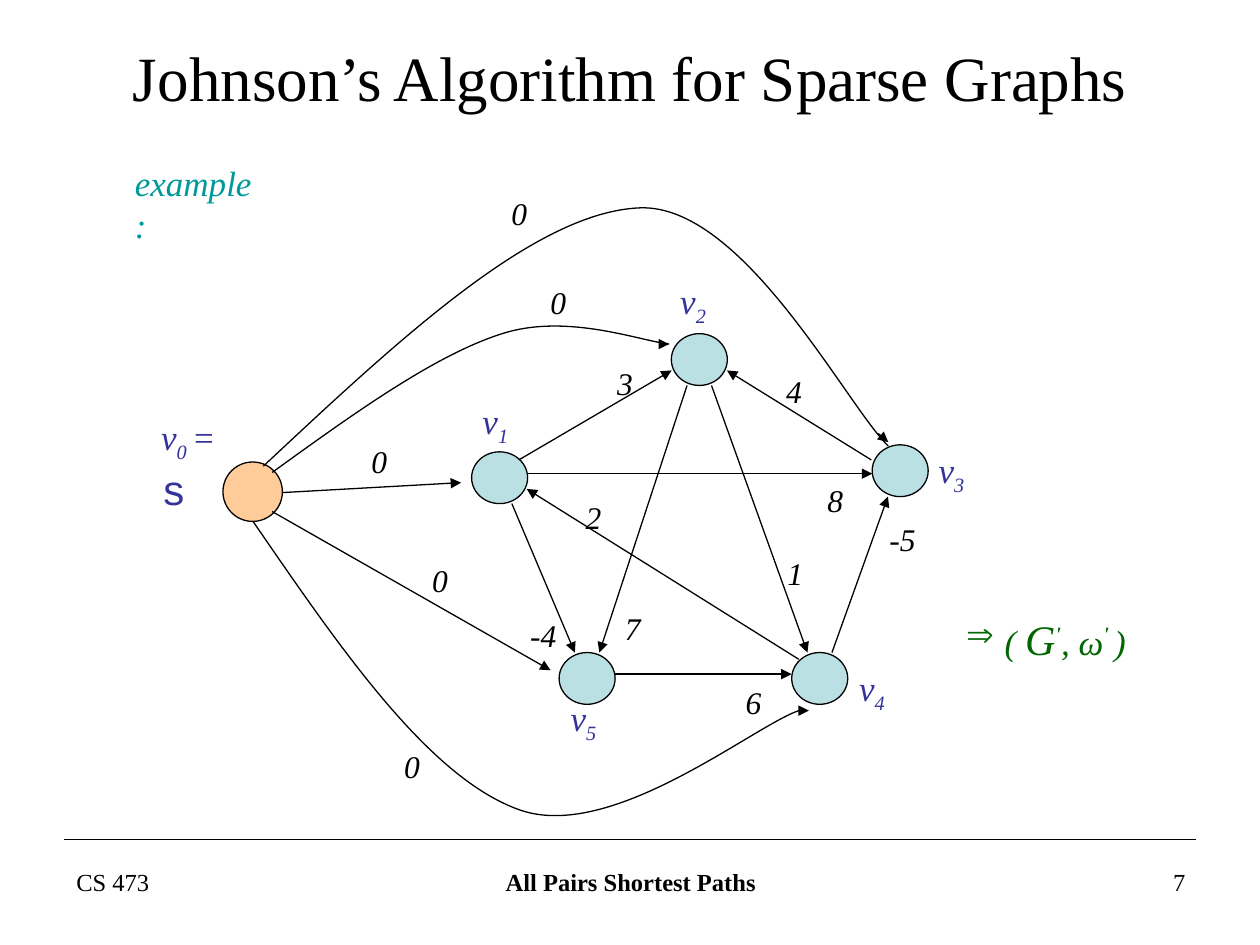
from lxml import etree
from pptx import Presentation
from pptx.dml.color import RGBColor
from pptx.enum import shapes, text
from pptx.oxml import ns
from pptx.util import Pt

SERIF = "Times New Roman"
BLACK, NAVY, TEAL, GREEN = "000000", "333399", "009999", "006600"
AQUA, PEACH = "BBE0E3", "FFCC99"
NODE_SIZE, SOURCE_SIZE = (32, 29.6), (34, 34)

NODES = {
    "1": (205.5, 173), "2": (319.6, 105.5), "3": (434.4, 169),
    "4": (388.4, 287.7), "5": (255.5, 287.7),
}
NODE_LABELS = {
    "1": (188.6, 124.6), "2": (301.6, 56.2), "3": (449.2, 152.7),
    "4": (403.8, 277.3), "5": (239, 294.6),
}
# Each edge: tail node, offset from its centre, head node, offset from its centre
EDGES = [
    ("1", (11, -10.2), "2", (-15.8, 6.2)),
    ("3", (-16.5, -6.2), "2", (15.8, 6.2)),
    ("4", (7, -14.8), "3", (-7, 14.8)),
    ("5", (16, -2.5), "4", (-16, -2.5)),
    ("1", (7, 14.8), "5", (-7, -14.8)),
    ("2", (-7, 14.8), "5", (7, -14.8)),
    ("2", (7, 14.8), "4", (-7, -14.8)),
    ("4", (-12, -11), "1", (15.5, 6.4)),
    ("1", (15.5, -2.3), "3", (-16, 1.7)),
]
WEIGHTS = [
    ("2", 247.6, 180.8), ("1", 362.8, 213.2), ("4", 362.1, 108.8),
    ("3", 265.6, 104.5), ("8", 385.8, 171.4), ("-5", 421.1, 193.8),
    ("-4", 215.9, 248.5), ("6", 339, 286.6), ("7", 270, 244.2),
    ("0", 205.1, 7.3), ("0", 227.4, 58.4), ("0", 143.9, 323.4),
    ("0", 125.2, 149.1), ("0", 159.8, 216.8),
]
SOURCE = (64.4, 181)
SOURCE_EDGES = [
    ((81.3, 181.5), (183.5, 175.8)),
    ((75.5, 192.3), (234.6, 283)),
]
SOURCE_CURVES = [
    [(70.5, 166.4), (148.2, 93.7), (226, 21), (285.8, 18.8),
     (344.8, 16.6), (403.8, 131.8), (427.6, 154.9)],
    [(75.5, 170), (122.3, 136.2), (168.4, 103), (206.6, 90.8),
     (244, 78.6), (286.5, 95.1), (302.3, 96.6)],
    [(64.7, 198.1), (115.1, 271.5), (165.5, 345), (217.4, 363),
     (269.9, 381), (349.8, 315.4), (376.5, 306.1)],
]
CURVE_TIPS = [
    ((421.8, 147.7), (427.6, 152.7)),
    ((297.3, 96.6), (302.3, 96.6)),
    ((376.5, 306.1), (382.2, 306.1)),
]


def color(value):
    """Turn a hex string into a colour."""
    return RGBColor.from_string(value)


def add_text(page, box, spans, size, fill=BLACK, italic=False, wrap=False, align="LEFT"):
    """Add a one-paragraph text box; a span is a text and its optional overrides."""
    shape = page.shapes.add_textbox(*map(Pt, box))
    frame = shape.text_frame
    frame.word_wrap = wrap
    if not wrap:
        frame.auto_size = text.MSO_AUTO_SIZE.SHAPE_TO_FIT_TEXT
    para = frame.paragraphs[0]
    para.alignment = getattr(text.PP_ALIGN, align)
    for words, style in spans:
        span = para.add_run()
        span.text = words
        span.font.name = style.get("font", SERIF)
        span.font.size = Pt(style.get("size", size))
        span.font.italic = style.get("italic", italic)
        span.font.bold = style.get("bold", False)
        span.font.color.rgb = color(fill)
        if "base" in style:
            span.font._element.set("baseline", str(style["base"] * 1000))
    return shape


def add_line(page, start, end, arrow=True):
    """Add a thin straight line, with an arrowhead at its end if wanted."""
    line = page.shapes.add_connector(
        shapes.MSO_CONNECTOR.STRAIGHT, *map(Pt, (*start, *end)))
    line.line.color.rgb = color(BLACK)
    line.line.width = Pt(0.75)
    if arrow:
        etree.SubElement(line.line._get_or_add_ln(), ns.qn("a:tailEnd"), type="triangle")
    etree.SubElement(line._element.spPr, ns.qn("a:effectLst"))


def add_curve(page, points):
    """Add an open curve through cubic control points."""
    start, *rest = [(Pt(x), Pt(y)) for x, y in points]
    builder = page.shapes.build_freeform(*start)
    builder.add_line_segments(rest, close=False)
    shape = builder.convert_to_shape()
    segments = list(shape._element.iter(ns.qn("a:lnTo")))
    for first in range(0, len(segments), 3):
        cubic = etree.Element(ns.qn("a:cubicBezTo"))
        segments[first].addprevious(cubic)
        for segment in segments[first:first + 3]:
            cubic.append(segment[0])
            segment.getparent().remove(segment)
    shape.shadow.inherit = False
    shape.fill.background()
    shape.line.color.rgb = color(BLACK)
    shape.line.width = Pt(0.75)


def add_node(page, center, size, fill):
    """Add an outlined ellipse around a centre."""
    (x, y), (width, height) = center, size
    node = page.shapes.add_shape(
        shapes.MSO_SHAPE.OVAL, Pt(x - width / 2), Pt(y - height / 2), Pt(width), Pt(height))
    node.shadow.inherit = False
    node.fill.solid()
    node.fill.fore_color.rgb = color(fill)
    node.line.color.rgb = color(BLACK)
    node.line.width = Pt(0.75)


def add_heading(page, left, top, width):
    """Add the title and the example caption."""
    title = add_text(page, (left, top, width, 44),
                     [("Johnson’s Algorithm for Sparse Graphs", {})], 36,
                     wrap=True, align="CENTER")
    title.text_frame.vertical_anchor = text.MSO_ANCHOR.MIDDLE
    add_text(page, (left + 34, top + 67, 92, 32), [("example :", {})], 20, TEAL, True)


def add_graph(page, left, top):
    """Add the weighted graph with its extra source node."""
    def at(point, offset=(0, 0)):
        return left + point[0] + offset[0], top + point[1] + offset[1]

    for center in NODES.values():
        add_node(page, at(center), NODE_SIZE, AQUA)
    for tail, leave, head, enter in EDGES:
        add_line(page, at(NODES[tail], leave), at(NODES[head], enter))
    add_node(page, at(SOURCE), SOURCE_SIZE, PEACH)
    for points in SOURCE_CURVES:
        add_curve(page, [at(point) for point in points])
    for start, end in SOURCE_EDGES + CURVE_TIPS:
        add_line(page, at(start), at(end))
    for weight, x, y in WEIGHTS:
        width = 14.4 + 9 * len(weight) - 3 * weight.count("-")
        add_text(page, (*at((x, y)), width, 29), [(weight, {})], 18, italic=True)
    for number, corner in NODE_LABELS.items():
        add_text(page, (*at(corner), 29, 34.5),
                 [("v", {}), (number, {"base": -25})], 20, NAVY, True)
    add_text(page, (*at((5, 134)), 64, 39),
             [("v", {}), ("0 ", {"base": -25}), ("= ", {}),
              ("s", {"font": "Courier New", "size": 24, "italic": False})],
             20, NAVY, True, wrap=True)


def add_result(page, left, top):
    """Add the reweighted graph with an arrow bullet."""
    prime = {"bold": True, "base": 40}
    shape = add_text(page, (left, top, 109, 36),
                     [("( ", {}), ("G", {"size": 24}), ("'", prime), (", ω", {}),
                      ("' ", prime), (")", {})], 20, GREEN, True)
    props = shape.text_frame.paragraphs[0]._p.get_or_add_pPr()
    props.set("marL", str(Pt(22)))
    props.set("indent", str(-Pt(22)))
    bullet_color = etree.SubElement(props, ns.qn("a:buClr"))
    etree.SubElement(bullet_color, ns.qn("a:srgbClr"), val=GREEN)
    etree.SubElement(props, ns.qn("a:buChar"), char="⇒")


def add_footer(page, left, top, width):
    """Add the rule, course, topic and page number."""
    add_line(page, (left, top), (left + width, top), arrow=False)
    cells = [(0, 168, "CS 473", "LEFT", False),
             (210, 228, "All Pairs Shortest Paths", "CENTER", True),
             (480, 168, "7", "RIGHT", False)]
    for x, cell_width, words, align, bold in cells:
        add_text(page, (left + x, top + 12, cell_width, 37),
                 [(words, {"bold": bold})], 14, wrap=True, align=align)


def main():
    """Build and save the slide."""
    deck = Presentation()
    deck.slide_width, deck.slide_height = Pt(720), Pt(540)
    page = deck.slides.add_slide(deck.slide_layouts[6])
    add_footer(page, 36.5, 479.7, 647)
    add_heading(page, 36, 21.6, 648)
    add_graph(page, 80, 100)
    add_result(page, 545, 347)
    deck.save("out.pptx")


if __name__ == "__main__":
    main()
